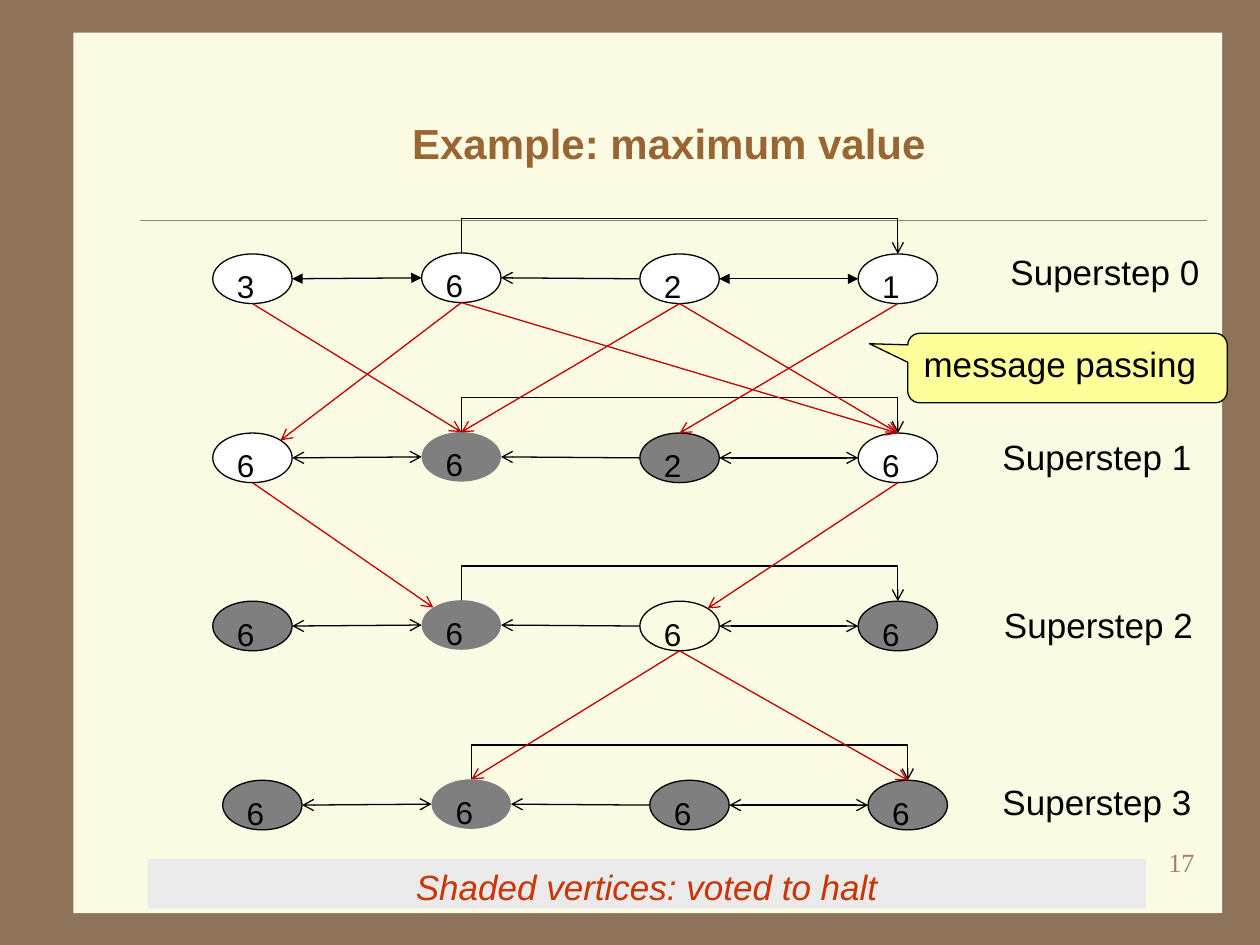
from dataclasses import dataclass
from math import cos, radians, sin
from typing import Optional

from lxml.etree import SubElement
from pptx import Presentation
from pptx.dml.color import RGBColor
from pptx.enum.shapes import MSO_CONNECTOR, MSO_SHAPE
from pptx.enum.text import MSO_ANCHOR, PP_ALIGN
from pptx.oxml.ns import qn
from pptx.util import Cm, Pt

BLACK, WHITE, GRAY, RED = "000000", "FFFFFF", "7F7F7F", "C00000"
BROWN, CREAM, TAN = "8C735A", "FBFAE2", "A08366"

COLUMNS = (4.29, 8.5, 12.9, 17.3)
NODE_WIDTH, NODE_HEIGHT = 1.6, 1.0
RAISED_COLUMN, RAISE = 1, 0.02  # the second vertex sits slightly higher
LOOP_RISE = 0.69
TOP, TOP_RIGHT, RIGHT, BOTTOM, LEFT, TOP_LEFT = 90, 45, 0, 270, 180, 135


@dataclass
class Superstep:
    top: float
    values: str
    fills: tuple[Optional[str], ...]
    label_left: float
    label_top: float
    shift: float = 0
    outlined: bool = True  # whether the second vertex has an outline
    double_head: str = "arrow"


@dataclass
class Message:
    step: int
    source: int
    target: int
    arrival: int = TOP


SUPERSTEPS = (
    Superstep(5.12, "3621", (WHITE,) * 4, 20.12, 4.93, double_head="triangle"),
    Superstep(8.73, "6626", (WHITE, GRAY, GRAY, WHITE), 19.96, 8.66, outlined=False),
    Superstep(12.12, "6666", (GRAY, GRAY, None, GRAY), 19.99, 12.04, outlined=False),
    Superstep(15.73, "6666", (GRAY,) * 4, 19.96, 15.6, shift=0.2, outlined=False),
)

MESSAGES = (
    Message(0, 1, 0, TOP_RIGHT), Message(0, 1, 3), Message(0, 0, 1),
    Message(0, 2, 1), Message(0, 2, 3), Message(0, 3, 2),
    Message(1, 0, 1, TOP_LEFT), Message(1, 3, 2, TOP_RIGHT),
    Message(2, 2, 1), Message(2, 2, 3),
)


def color(value: str) -> RGBColor:
    return RGBColor.from_string(value)


def write(shape, text: str, size: float, text_color: str = BLACK,
          align=PP_ALIGN.LEFT, font_name: str = "Arial", wrap: bool = True):
    frame = shape.text_frame
    frame.word_wrap = wrap
    frame.vertical_anchor = MSO_ANCHOR.TOP
    paragraph = frame.paragraphs[0]
    paragraph.text = text
    paragraph.alignment = align
    font = paragraph.font
    font.size, font.name = Pt(size), font_name
    font.color.rgb = color(text_color)
    return font


def add_box(slide, kind, box: tuple, fill: Optional[str], line: Optional[str] = None):
    shape = slide.shapes.add_shape(kind, *map(Cm, box))
    shape.shadow.inherit = False
    if fill:
        shape.fill.solid()
        shape.fill.fore_color.rgb = color(fill)
    else:
        shape.fill.background()
    if line:
        shape.line.color.rgb = color(line)
        shape.line.width = Pt(0.75)
    else:
        shape.line.fill.background()
    return shape


def add_text(slide, box: tuple, *args, **options):
    return write(slide.shapes.add_textbox(*map(Cm, box)), *args, **options)


def add_line(slide, start: tuple, end: tuple, line_color: str = BLACK, width: float = 0.75,
             head: str = "", tail: str = "", kind=MSO_CONNECTOR.STRAIGHT):
    connector = slide.shapes.add_connector(kind, *map(Cm, start + end))
    connector.line.color.rgb = color(line_color)
    connector.line.width = Pt(width)
    properties = connector._element.spPr
    outline = properties.find(qn("a:ln"))
    for tag, arrow in (("a:headEnd", head), ("a:tailEnd", tail)):
        if arrow:
            SubElement(outline, qn(tag), type=arrow)
    SubElement(properties, qn("a:effectLst"))
    return connector


def node_corner(step: Superstep, column: int) -> tuple[float, float]:
    return (COLUMNS[column] + step.shift,
            step.top - (RAISE if column == RAISED_COLUMN else 0))


def node_point(step: Superstep, column: int, angle: int) -> tuple[float, float]:
    """Point on the outline of a vertex, at a counterclockwise angle."""
    left, top = node_corner(step, column)
    return (left + NODE_WIDTH / 2 * (1 + cos(radians(angle))),
            top + NODE_HEIGHT / 2 * (1 - sin(radians(angle))))


def add_loop(slide, start: tuple, end: tuple) -> None:
    """Elbow arrow that rises from start and drops onto end."""
    span, drop = end[0] - start[0], end[1] - start[1]
    middle_x, middle_y = (start[0] + end[0]) / 2, (start[1] + end[1]) / 2
    # Lay the elbow out upright and flipped, then turn it by 270 degrees
    connector = add_line(slide, (middle_x + drop / 2, middle_y - span / 2),
                         (middle_x - drop / 2, middle_y + span / 2),
                         tail="arrow", kind=MSO_CONNECTOR.ELBOW)
    properties = connector._element.spPr
    properties.find(qn("a:xfrm")).set("rot", str(270 * 60000))
    adjustments = properties.find(qn("a:prstGeom")).find(qn("a:avLst"))
    SubElement(adjustments, qn("a:gd"), name="adj1",
               fmla=f"val {round(-LOOP_RISE / drop * 100000)}")


def add_superstep(slide, number: int, step: Superstep) -> None:
    for column, (value, fill) in enumerate(zip(step.values, step.fills)):
        outline = BLACK if step.outlined or column != RAISED_COLUMN else None
        node = add_box(slide, MSO_SHAPE.OVAL,
                       (*node_corner(step, column), NODE_WIDTH, NODE_HEIGHT), fill, outline)
        write(node, value, 18)
    for left in (0, 2):
        add_line(slide, node_point(step, left, RIGHT), node_point(step, left + 1, LEFT),
                 head=step.double_head, tail=step.double_head)
    add_line(slide, node_point(step, 2, LEFT), node_point(step, 1, RIGHT), tail="arrow")
    add_loop(slide, node_point(step, 1, TOP), node_point(step, 3, TOP))
    add_text(slide, (step.label_left, step.label_top, 4.32, 1.11),
             f"Superstep {number}", 20, wrap=False)


def main() -> None:
    presentation = Presentation()
    presentation.slide_width, presentation.slide_height = Cm(25.4), Cm(19.05)
    slide = presentation.slides.add_slide(presentation.slide_layouts[6])

    # Background panel and title
    slide.background.fill.solid()
    slide.background.fill.fore_color.rgb = color(BROWN)
    add_box(slide, MSO_SHAPE.RECTANGLE, (1.48, 0.66, 23.16, 17.75), CREAM)
    add_line(slide, (2.82, 4.44), (24.33, 4.44), TAN, 0.25)
    title = add_text(slide, (2.69, 2.24, 21.59, 1.27), "Example: maximum value", 24,
                     "996633", PP_ALIGN.CENTER)
    title.bold = True

    # Vertices, edges and labels of each superstep
    for number, step in enumerate(SUPERSTEPS):
        add_superstep(slide, number, step)

    # Messages between supersteps
    for message in MESSAGES:
        add_line(slide, node_point(SUPERSTEPS[message.step], message.source, BOTTOM),
                 node_point(SUPERSTEPS[message.step + 1], message.target, message.arrival),
                 RED, tail="arrow")

    # Legend, callout and slide number
    legend = add_box(slide, MSO_SHAPE.RECTANGLE, (2.98, 17.32, 20.12, 1.0), "EAEAEA")
    write(legend, "Shaded vertices: voted to halt", 20, "CC3300", PP_ALIGN.CENTER).italic = True
    callout = add_box(slide, MSO_SHAPE.ROUNDED_RECTANGULAR_CALLOUT,
                      (18.3, 6.72, 6.44, 1.4), "FFFF99", BLACK)
    for index, value in enumerate((-0.62, -0.35, 0.17)):
        callout.adjustments[index] = value
    write(callout, "message passing", 20)
    add_text(slide, (19.05, 16.94, 5.28, 1.27), "17", 15, TAN, PP_ALIGN.RIGHT,
             "Times New Roman")

    presentation.save("out.pptx")


if __name__ == "__main__":
    main()
